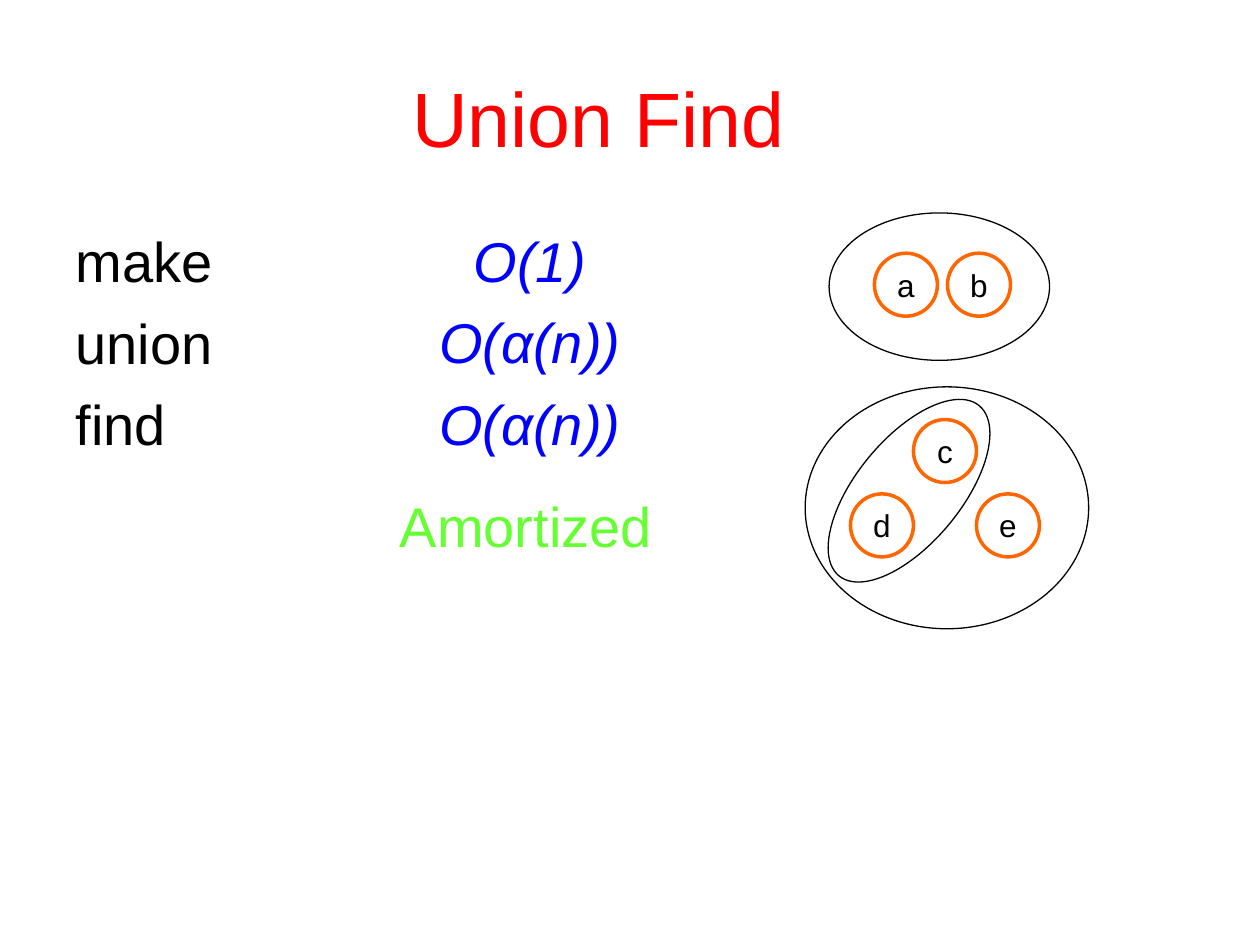
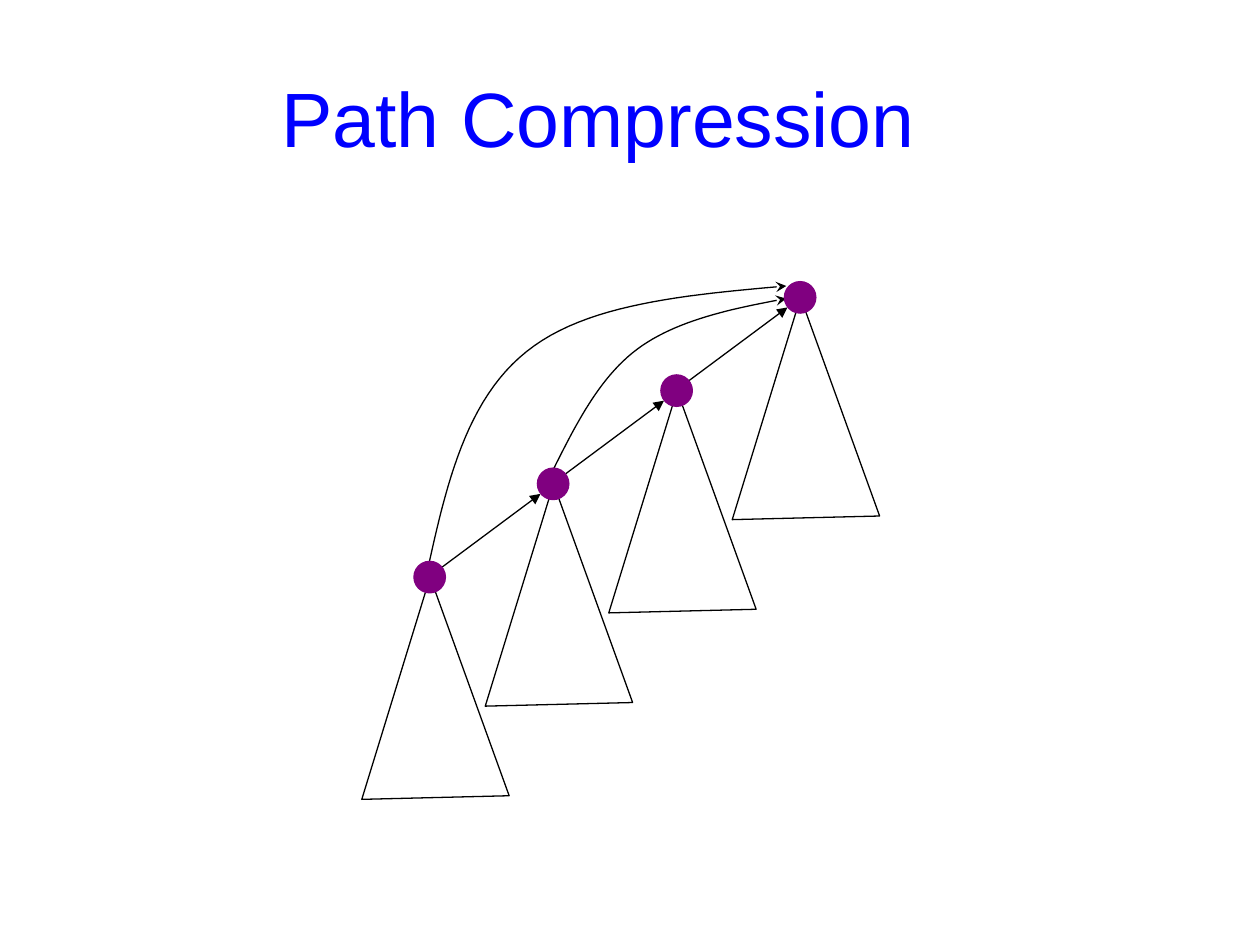
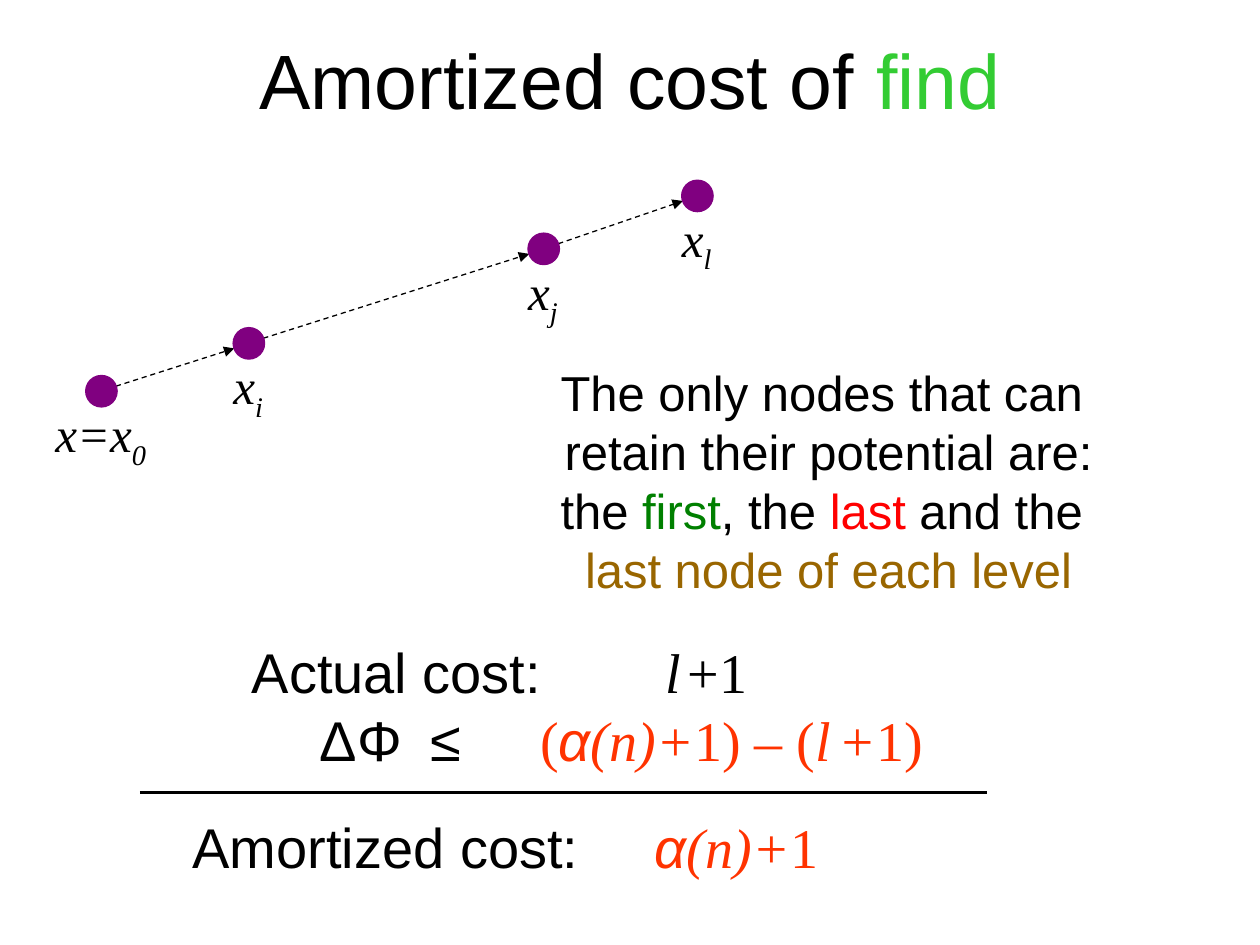
"""Builds three slides on union-find, path compression and the amortized cost of find."""
from lxml.etree import SubElement
from pptx import Presentation
from pptx.dml.color import RGBColor
from pptx.enum.dml import MSO_LINE
from pptx.enum.shapes import MSO_CONNECTOR, MSO_SHAPE
from pptx.enum.text import MSO_ANCHOR, MSO_AUTO_SIZE, PP_ALIGN
from pptx.oxml.ns import qn
from pptx.util import Inches, Pt

COLORS = {
    "black": "000000", "red": "FF0000", "blue": "0000FF", "orange": "FF6600",
    "lime": "66FF33", "purple": "800080", "grass": "33CC33", "green": "008000",
    "brown": "996600", "vermilion": "FF3300",
}
SANS, SERIF = "Arial", "Times New Roman"
THIN, THICK = 0.74, 2

prs = Presentation()
prs.slide_width, prs.slide_height = Inches(10), Inches(7.5)
unit = prs.slide_width // 100


def draw(s, kind, box, color="black", width=THIN, fill=None, rot=0, dash=False, head=None):
    """Draw a text box, a line, a path of points or a preset shape, in grid units."""
    if kind == "path":
        points = [(round(x * unit), round(y * unit)) for x, y in box]
        builder = s.shapes.build_freeform(*points[0])
        builder.add_line_segments(points[1:], close=False)
        sp = builder.convert_to_shape()
    else:
        box = [round(v * unit) for v in box]
        if kind == "text":
            sp = s.shapes.add_textbox(*box)
            sp.text_frame.word_wrap = True
            return sp
        if kind == "line":
            sp = s.shapes.add_connector(MSO_CONNECTOR.STRAIGHT, *box)
        else:
            sp = s.shapes.add_shape(kind, *box)
            sp.rotation = rot
    sp.line.color.rgb = RGBColor.from_string(COLORS[color])
    sp.line.width = Pt(width)
    if dash:
        sp.line.dash_style = MSO_LINE.DASH
    spPr = sp._element.spPr
    if head:
        SubElement(spPr.find(qn("a:ln")), qn("a:tailEnd"), type=head)
    if kind == "line":
        SubElement(spPr, qn("a:effectLst"))
        return sp
    sp.shadow.inherit = False
    if fill:
        sp.fill.solid()
        sp.fill.fore_color.rgb = RGBColor.from_string(COLORS[fill])
    else:
        sp.fill.background()
    return sp


def write(p, text, color="black", size=32, font=SANS, italic=False, sub=False):
    """Add one formatted run to a paragraph."""
    r = p.add_run()
    r.text = text
    r.font.name, r.font.size, r.font.italic = font, Pt(size), italic
    r.font.color.rgb = RGBColor.from_string(COLORS[color])
    if sub:
        r._r.get_or_add_rPr().set("baseline", "-25000")


title_box = (20, 3, 55, 12.5)
slides = []
for layout, box, runs in [
    (1, title_box, [("Union Find", "red")]),
    (5, title_box, [("Path Compression", "blue")]),
    (5, (0, 0, 100, 12.5), [("Amortized cost of ", "black"), ("find", "grass")]),
]:
    s = prs.slides.add_slide(prs.slide_layouts[layout])
    title = s.shapes.title
    title.left, title.top, title.width, title.height = [round(v * unit) for v in box]
    tf = title.text_frame
    tf.vertical_anchor = MSO_ANCHOR.MIDDLE
    tf.auto_size = MSO_AUTO_SIZE.NONE
    tf.paragraphs[0].alignment = PP_ALIGN.CENTER
    for text, color in runs:
        write(tf.paragraphs[0], text, color, 44)
    slides.append(s)
union_find, compression, cost = slides

body = union_find.placeholders[1]
body.left, body.top, body.width, body.height = [round(v * unit) for v in (5, 17.5, 32.5, 20)]
body.text_frame.auto_size = MSO_AUTO_SIZE.NONE
bounds = draw(union_find, "text", (30.8, 17.5, 22.5, 35.8))
for i, (operation, bound) in enumerate([("make", "O(1)"), ("union", "O(α(n))"), ("find", "O(α(n))")]):
    for tf, text, color, align in [
        (body.text_frame, operation, "black", PP_ALIGN.LEFT),
        (bounds.text_frame, bound, "blue", PP_ALIGN.CENTER),
    ]:
        p = tf.add_paragraph() if i else tf.paragraphs[0]
        p.alignment, p.space_before = align, Pt(8)
        pPr = p._p.get_or_add_pPr()
        pPr.set("marL", "0")
        pPr.set("indent", "0")
        SubElement(pPr, qn("a:buNone"))
        write(p, text, color, italic=color == "blue")

for letter, x, y in [("a", 69.4, 20.1), ("b", 75.2, 20.1), ("c", 72.5, 33.3), ("d", 67.5, 39.2), ("e", 77.5, 39.2)]:
    sp = draw(union_find, MSO_SHAPE.OVAL, (x, y, 5, 5), "orange", THICK)
    tf = sp.text_frame
    tf.word_wrap, tf.vertical_anchor = False, MSO_ANCHOR.MIDDLE
    tf.paragraphs[0].alignment = PP_ALIGN.CENTER
    write(tf.paragraphs[0], letter, size=18)
for box, rot in [((65.8, 16.9, 17.5, 11.7), 0), ((68, 30.2, 8.3, 17.5), 39.5), ((63.9, 30.7, 22.5, 19.2), 0)]:
    draw(union_find, MSO_SHAPE.OVAL, box, rot=rot)
p = draw(union_find, "text", (28.4, 38.5, 26.7, 6.4)).text_frame.paragraphs[0]
p.alignment = PP_ALIGN.CENTER
write(p, "Amortized", "lime")

node = 2.5
chain = [(34.1 + 9.8 * i, 45.8 - 7.4 * i) for i in range(4)]
for x, y in chain:
    draw(compression, MSO_SHAPE.ISOSCELES_TRIANGLE, (x - 5.6, y, 11.7, 17.5), rot=358.6)
for (x1, y1), (x2, y2) in zip(chain, chain[1:]):
    draw(compression, "line", (x1 + 1, y1 - 0.8, x2 - 1, y2 + 0.8), head="triangle")
for curve in [
    [(43.7, 37.7), (45.6, 33.9), (47.5, 30), (50.6, 27.7), (53.7, 25.4), (58.1, 24.5), (62.4, 23.7)],
    [(33.9, 45.4), (35.4, 38.5), (37, 31.7), (41.8, 27.9), (46.5, 24.1), (54.5, 23.4), (62.4, 22.7)],
]:
    points = [curve[0]]
    for k in (0, 3):
        for step in range(1, 25):
            t = step / 24
            weights = ((1 - t) ** 3, 3 * t * (1 - t) ** 2, 3 * t * t * (1 - t), t ** 3)
            points.append(tuple(sum(w * c[axis] for w, c in zip(weights, curve[k:k + 4])) for axis in (0, 1)))
    draw(compression, "path", points, head="stealth")
for x, y in chain:
    draw(compression, MSO_SHAPE.OVAL, (x - node / 2, y - node / 2, node, node), "purple", fill="purple")

walk = [(8.05, 31.05, "x=x", "0"), (19.75, 27.25, "x", "i"), (43.15, 19.75, "x", "j"), (55.35, 15.55, "x", "l")]
for (x1, y1, *_), (x2, y2, *_) in zip(walk, walk[1:]):
    draw(cost, "line", (x1 + 1.15, y1 - 0.4, x2 - 1.15, y2 + 0.4), dash=True, head="triangle")
for x, y, name, index in walk:
    draw(cost, MSO_SHAPE.OVAL, (x - node / 2, y - node / 2, node, node), "purple", fill="purple")
    p = draw(cost, "text", (x - 5.2, y + 0.5, 10.3, 6.3)).text_frame.paragraphs[0]
    p.alignment = PP_ALIGN.CENTER
    write(p, name, size=28, font=SERIF, italic=True)
    write(p, index, size=28, font=SERIF, italic=True, sub=True)

p = draw(cost, "text", (38.2, 28.3, 55.1, 19.7)).text_frame.paragraphs[0]
p.alignment = PP_ALIGN.CENTER
for i, line in enumerate([
    [("The only nodes that can ", "black")],
    [("retain their potential are:", "black")],
    [("the ", "black"), ("first", "green"), (", the ", "black"), ("last", "red"), (" and the ", "black")],
    [("last node of each level", "brown")],
]):
    if i:
        p.add_line_break()
    for text, color in line:
        write(p, text, color, 28)

for left, top, tabs, runs in [
    (20, 50.1, [52.8], [
        ("Actual cost:\t",), ("l", "black", 32, SERIF, True), (" ", "black", 16, SERIF, True),
        ("+1", "black", 32, SERIF)]),
    (25.4, 55.5, [34.2, 42.9], [
        ("ΔΦ\t≤\t",), ("(", "vermilion", 32, SERIF), ("α", "vermilion", 32, SANS, True),
        ("(n)+", "vermilion", 32, SERIF, True), ("1) – (", "vermilion", 32, SERIF),
        ("l", "vermilion", 32, SERIF, True), (" ", "vermilion", 16, SERIF, True),
        ("+", "vermilion", 32, SERIF, True), ("1)", "vermilion", 32, SERIF)]),
    (15.3, 64, [52], [
        ("Amortized cost:\t",), ("α", "vermilion", 32, SANS, True),
        ("(n)+", "vermilion", 32, SERIF, True), ("1", "vermilion", 32, SERIF)]),
]:
    p = draw(cost, "text", (left - 1, top, 80 - left, 6.4)).text_frame.paragraphs[0]
    stops = SubElement(p._p.get_or_add_pPr(), qn("a:tabLst"))
    for stop in tabs:
        SubElement(stops, qn("a:tab"), pos=str(round((stop - left) * unit)), algn="l")
    for run in runs:
        write(p, *run)
draw(cost, "line", (11.1, 62.9, 78.3, 62.9), width=THICK)

prs.save("out.pptx")
